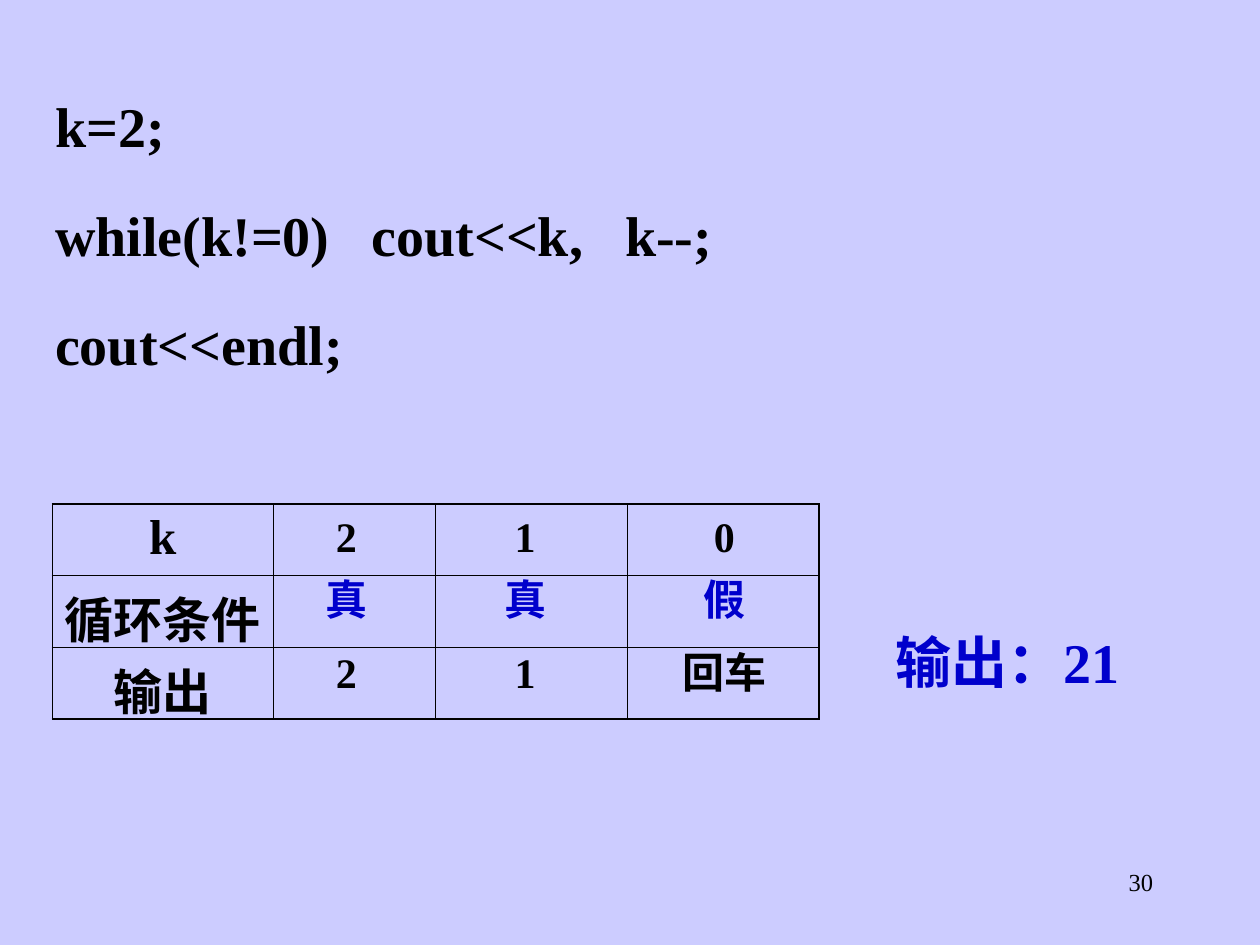
import lxml.etree
import pptx
import pptx.dml.color
import pptx.enum.text
import pptx.oxml.ns
import pptx.util

Pt = pptx.util.Pt
RGBColor = pptx.dml.color.RGBColor
ALIGN = pptx.enum.text.PP_ALIGN
AUTO_SIZE = pptx.enum.text.MSO_AUTO_SIZE
qn = pptx.oxml.ns.qn

BLACK = RGBColor(0x00, 0x00, 0x00)
BLUE = RGBColor(0x00, 0x00, 0xCC)
LAVENDER = RGBColor(0xCC, 0xCC, 0xFF)
FONT = "Times New Roman"

CODE = ["k=2;", "while(k!=0)   cout<<k,   k--;", "cout<<endl;"]
ROW_LABELS = ["k", "循环条件", "输出"]
COLUMN_WIDTHS = [126, 93, 109.5, 109.5]
ROW_HEIGHTS = [35, 41, 41]
OUTER_LINE, INNER_LINE = 1.08, 0.45

# Trace values: one centre line per loop step, one top and colour per table row
STEP_CENTRES = [198, 300, 414]
TRACE_ROWS = [
    (288, BLACK, ["2", "1", "0"]),
    (324, BLUE, ["真", "真", "假"]),
    (366, BLACK, ["2", "1", "回车"]),
]

TIGHT = {"margin_left": Pt(1.5), "margin_right": Pt(1.5),
         "margin_top": Pt(0.75), "margin_bottom": Pt(0.75)}
ROOMY = {"margin_left": Pt(7.2), "margin_right": Pt(7.2),
         "margin_top": Pt(3.6), "margin_bottom": Pt(3.6)}
CELL_MARGINS = {**ROOMY, "margin_left": Pt(1.5), "margin_right": Pt(1.5)}
CODE_SPACING = {"line_spacing": 1.1}


def apply(target, values):
    for name, value in values.items():
        setattr(target, name, value)


def style_paragraph(paragraph, size, color=BLACK, bold=True, **layout):
    apply(paragraph, layout)
    apply(paragraph.font, {"size": Pt(size), "name": FONT, "bold": bold})
    paragraph.font.color.rgb = color


def add_text(slide, box, lines, margins, size, color=BLACK, bold=True, **layout):
    frame = slide.shapes.add_textbox(*map(Pt, box)).text_frame
    apply(frame, {"word_wrap": True, "auto_size": AUTO_SIZE.SHAPE_TO_FIT_TEXT,
                  **margins})
    frame.text = "\n".join(lines)
    for index, paragraph in enumerate(frame.paragraphs):
        style_paragraph(paragraph, size, color, bold, **layout)
        if index:
            paragraph.space_before = Pt(20)


def set_borders(cell, widths):
    properties = cell._tc.get_or_add_tcPr()
    for index, (side, width) in enumerate(widths.items()):
        line = lxml.etree.Element(qn(f"a:ln{side}"), w=str(int(Pt(width))))
        fill = lxml.etree.SubElement(line, qn("a:solidFill"))
        lxml.etree.SubElement(fill, qn("a:srgbClr"), val=str(BLACK))
        properties.insert(index, line)


def add_trace_table(slide):
    rows, columns = len(ROW_HEIGHTS), len(COLUMN_WIDTHS)
    table = slide.shapes.add_table(
        rows, columns, Pt(30), Pt(288),
        Pt(sum(COLUMN_WIDTHS)), Pt(sum(ROW_HEIGHTS))).table
    apply(table, {"first_row": False, "horz_banding": False})
    for column, width in zip(table.columns, COLUMN_WIDTHS):
        column.width = Pt(width)
    for r, height in enumerate(ROW_HEIGHTS):
        table.rows[r].height = Pt(height)
        for c in range(columns):
            cell = table.cell(r, c)
            apply(cell, CELL_MARGINS)
            cell.fill.background()
            on_edge = {"L": c == 0, "R": c == columns - 1,
                       "T": r == 0, "B": r == rows - 1}
            set_borders(cell, {side: OUTER_LINE if edge else INNER_LINE
                               for side, edge in on_edge.items()})
        label = table.cell(r, 0).text_frame
        label.text = ROW_LABELS[r]
        style_paragraph(label.paragraphs[0], 28, alignment=ALIGN.CENTER)


def add_trace_values(slide):
    for step, centre in enumerate(STEP_CENTRES):
        for top, color, values in TRACE_ROWS:
            value = values[step]
            width = 48 if len(value) == 1 else 78
            add_text(slide, (centre - width / 2, top, width, 36), [value],
                     ROOMY, 24, color, alignment=ALIGN.CENTER)


def main():
    deck = pptx.Presentation()
    apply(deck, {"slide_width": Pt(720), "slide_height": Pt(540)})
    slide = deck.slides.add_slide(deck.slide_layouts[6])
    slide.background.fill.solid()
    slide.background.fill.fore_color.rgb = LAVENDER

    # Page number
    add_text(slide, (516, 492, 150, 36), ["30"], ROOMY, 14, bold=False,
             alignment=ALIGN.RIGHT)
    # Loop code
    add_text(slide, (30, 48, 414, 168.5), CODE, TIGHT, 32, **CODE_SPACING)
    # Trace of the loop and its result
    add_trace_table(slide)
    add_text(slide, (510, 354, 150, 44), ["输出：21"], TIGHT, 32, BLUE,
             **CODE_SPACING)
    add_trace_values(slide)

    deck.save("out.pptx")


if __name__ == "__main__":
    main()
